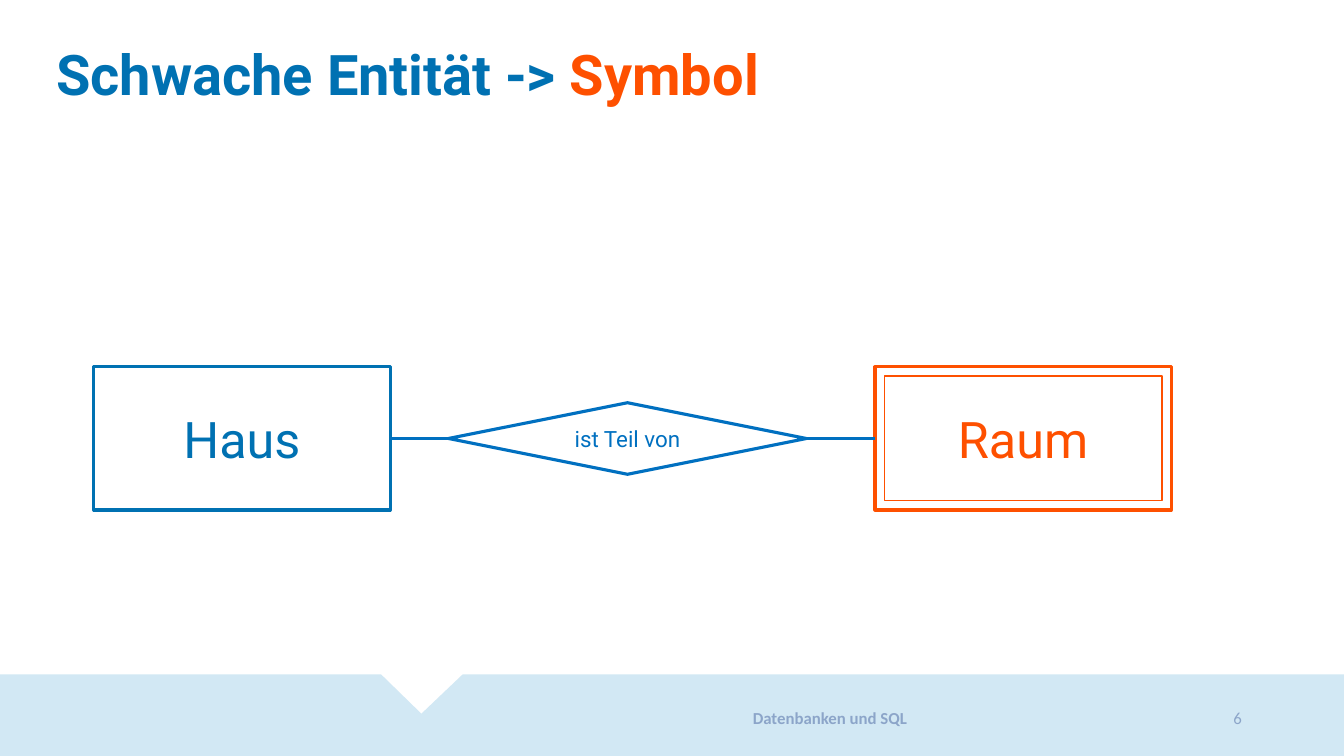
from lxml import etree
from pptx import Presentation
from pptx.dml.color import RGBColor
from pptx.enum import shapes, text
from pptx.oxml.ns import qn
from pptx.util import Pt

COLORS = {"blue": "0071B2", "relation": "0070C0", "orange": "FE5000",
          "band": "D2E8F4", "footer": "8CA5C9"}
SLIDE_W, SLIDE_H = 960, 540

TITLE = [("Schwache Entität -> ", "blue"), ("Symbol", "orange")]
# label, colour, left
ENTITIES = [("Haus", "blue", 67), ("Raum", "orange", 625)]
ENTITY_W, ENTITY_H = 211.7, 102.2
AXIS_Y = 313.2
RELATION, RELATION_LEFT, RELATION_W, RELATION_H = "ist Teil von", 320.4, 255.6, 51.1
WEAK_INSET = 6.6
# text, left, width, alignment, bold
FOOTERS = [("Datenbanken und SQL", 422.6, 340.6, text.PP_ALIGN.CENTER, True),
           ("6", 763.2, 131, text.PP_ALIGN.RIGHT, False)]
BAND_TOP = 481.7
NOTCH = [(272.2, BAND_TOP), (301, 509.8), (330.5, BAND_TOP)]


def rgb(name):
    return RGBColor.from_string(COLORS[name])


def add_run(paragraph, words, size, color, font="Roboto", bold=False):
    run = paragraph.add_run()
    run.text = words
    run.font.name, run.font.size, run.font.bold = font, Pt(size), bold
    run.font.color.rgb = rgb(color)


def add_outline(slide, kind, left, width, height, color, weight=2.25, label="", size=36):
    """Draw an unfilled shape centred on the diagram axis."""
    outline = slide.shapes.add_shape(kind, Pt(left), Pt(AXIS_Y - height / 2),
                                     Pt(width), Pt(height))
    outline.shadow.inherit = False
    outline.fill.background()
    outline.line.color.rgb = rgb(color)
    outline.line.width = Pt(weight)
    if label:
        frame = outline.text_frame
        frame.vertical_anchor = text.MSO_ANCHOR.MIDDLE
        frame.paragraphs[0].alignment = text.PP_ALIGN.CENTER
        add_run(frame.paragraphs[0], label, size, color)


def add_link(slide, start, end):
    link = slide.shapes.add_connector(shapes.MSO_CONNECTOR.STRAIGHT, Pt(start),
                                      Pt(AXIS_Y), Pt(end), Pt(AXIS_Y))
    link.line.color.rgb = rgb("relation")
    link.line.width = Pt(2.25)
    etree.SubElement(link._element.spPr, qn("a:effectLst"))


def main():
    prs = Presentation()
    prs.slide_width, prs.slide_height = Pt(SLIDE_W), Pt(SLIDE_H)
    slide = prs.slides.add_slide(prs.slide_layouts[5])

    # Footer band with notch
    outline = [*NOTCH, (SLIDE_W, BAND_TOP), (SLIDE_W, SLIDE_H), (0, SLIDE_H)]
    builder = slide.shapes.build_freeform(0, Pt(BAND_TOP))
    builder.add_line_segments([(Pt(x), Pt(y)) for x, y in outline], close=True)
    band = builder.convert_to_shape()
    band.shadow.inherit = False
    band.fill.solid()
    band.fill.fore_color.rgb = rgb("band")
    band.line.fill.background()

    # Title
    title = slide.shapes.title
    title.left, title.top, title.width, title.height = Pt(33.1), Pt(30.2), Pt(789), Pt(57)
    title.text_frame.vertical_anchor = text.MSO_ANCHOR.TOP
    heading = title.text_frame.paragraphs[0]
    heading.alignment = text.PP_ALIGN.LEFT
    heading.line_spacing = 0.9
    for words, color in TITLE:
        add_run(heading, words, 40, color, bold=True)

    # Footer texts
    for words, left, width, align, bold in FOOTERS:
        footer = slide.shapes.add_textbox(Pt(left), Pt(496.8), Pt(width), Pt(32.4))
        frame = footer.text_frame
        frame.word_wrap = True
        frame.vertical_anchor = text.MSO_ANCHOR.MIDDLE
        frame.paragraphs[0].alignment = align
        add_run(frame.paragraphs[0], words, 12, "footer", "Calibri", bold)

    # Entities, with the inner frame of the weak one
    rectangle = shapes.MSO_SHAPE.RECTANGLE
    for label, color, left in ENTITIES:
        add_outline(slide, rectangle, left, ENTITY_W, ENTITY_H, color, label=label)
    house_left, room_left = (left for _, _, left in ENTITIES)
    add_outline(slide, rectangle, room_left + WEAK_INSET, ENTITY_W - 2 * WEAK_INSET,
                ENTITY_H - 2 * WEAK_INSET, "orange", weight=1)

    # Relationship and its links
    add_outline(slide, shapes.MSO_SHAPE.DIAMOND, RELATION_LEFT, RELATION_W, RELATION_H,
                "relation", label=RELATION, size=16)
    add_link(slide, RELATION_LEFT, house_left + ENTITY_W)
    add_link(slide, room_left, RELATION_LEFT + RELATION_W)

    prs.save("out.pptx")


if __name__ == "__main__":
    main()
